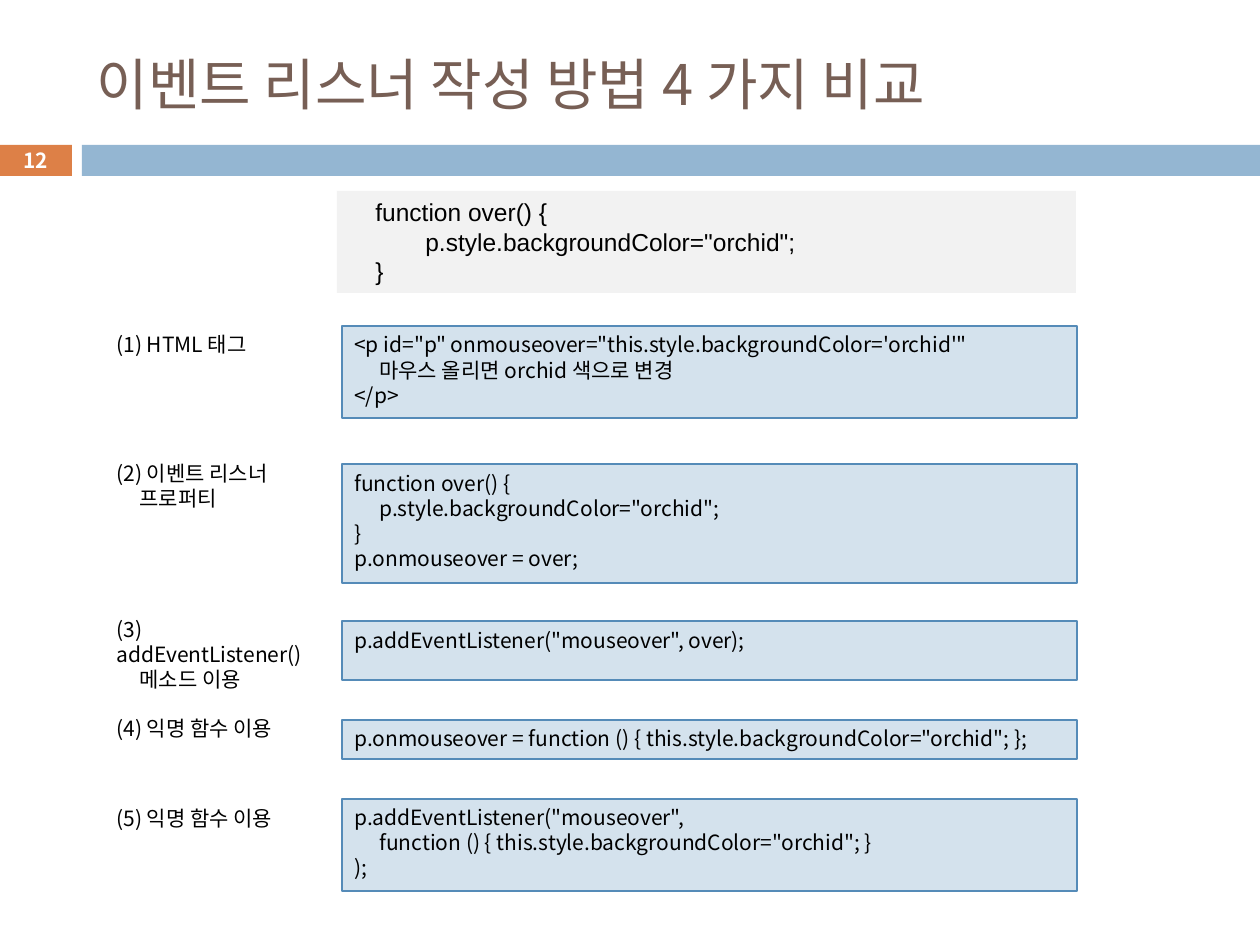
import pptx
import pptx.dml.color
import pptx.enum.shapes
import pptx.enum.text
import pptx.oxml.ns
import pptx.util
import lxml.etree

SCALE = 914400 / 126
SANS = "Noto Sans CJK KR"
ALIGN = pptx.enum.text.PP_ALIGN
MIDDLE = pptx.enum.text.MSO_ANCHOR.MIDDLE
RECT = pptx.enum.shapes.MSO_SHAPE.RECTANGLE


def px(n):
    """Turn pixels into EMU."""
    return round(n * SCALE)


def color(code):
    """Turn a hex string into a colour."""
    return pptx.dml.color.RGBColor.from_string(code)


class Page:
    """Holds the style and the current slide."""

    blue, edge, ink = "D4E2ED", "558BB8", "000000"

    def __init__(self, deck):
        """Add a title-only slide."""
        self.slide = deck.slides.add_slide(deck.slide_layouts[5])

    def text(self, shape, lines, size=12, font=SANS, ink=ink, bold=False,
             align=ALIGN.LEFT, space=None):
        """Fill a shape with (indent, text) lines."""
        frame = shape.text_frame
        frame.word_wrap = True
        frame.auto_size = pptx.enum.text.MSO_AUTO_SIZE.NONE
        for i, (indent, line) in enumerate(lines):
            para = frame.add_paragraph() if i else frame.paragraphs[0]
            para.text = line
            para.alignment = align
            if space:
                para.line_spacing = pptx.util.Pt(space)
            para.font.name = font
            para.font.size = pptx.util.Pt(size)
            para.font.bold = bold
            para.font.color.rgb = color(ink)
            props = para._p.get_or_add_pPr()
            props.set("marL", str(px(indent)))
            props.set("indent", "0")
            east = lxml.etree.SubElement(
                props.find(pptx.oxml.ns.qn("a:defRPr")), pptx.oxml.ns.qn("a:ea"))
            east.set("typeface", font)
        return frame

    def title(self, box, line):
        """Place the title."""
        shape = self.slide.shapes.title
        shape.left, shape.top, shape.width, shape.height = map(px, box)
        self.text(shape, [(0, line)], 32, ink="775F55").vertical_anchor = MIDDLE

    def rect(self, box, fill, line=None):
        """Draw a plain rectangle."""
        shape = self.slide.shapes.add_shape(RECT, *map(px, box))
        shape.shadow.inherit = False
        shape.fill.solid()
        shape.fill.fore_color.rgb = color(fill)
        if line:
            shape.line.color.rgb = color(line)
            shape.line.width = pptx.util.Pt(0.75)
        else:
            shape.line.fill.background()
        shape.text_frame.vertical_anchor = pptx.enum.text.MSO_ANCHOR.TOP
        return shape

    def code(self, top, height, lines):
        """Draw a blue code box."""
        shape = self.rect((342, top, 735, height), self.blue, self.edge)
        self.text(shape, lines, space=14.3)

    def label(self, top, lines):
        """Set a label left of a code box."""
        box = (104, top, 220, 13 + 25 * len(lines))
        self.text(self.slide.shapes.add_textbox(*map(px, box)), lines, space=14.3)


ROWS = [
    (326, [(0, "(1) HTML 태그")], 326, 92,
     [(0, "<p id=\"p\" onmouseover=\"this.style.backgroundColor='orchid'\""),
      (25, "마우스 올리면 orchid 색으로 변경"), (0, "</p>")]),
    (455, [(0, "(2) 이벤트 리스너"), (23, "프로퍼티")], 464, 119,
     [(0, "function over() {"), (25, 'p.style.backgroundColor="orchid";'),
      (0, "}"), (0, "p.onmouseover = over;")]),
    (611, [(0, "(3) addEventListener()"), (23, "메소드 이용")], 621, 59,
     [(0, 'p.addEventListener("mouseover", over);')]),
    (710, [(0, "(4) 익명 함수 이용")], 720, 39,
     [(0, 'p.onmouseover = function () { this.style.backgroundColor="orchid"; };')]),
    (800, [(0, "(5) 익명 함수 이용")], 799, 92,
     [(0, 'p.addEventListener("mouseover",'),
      (25, 'function () { this.style.backgroundColor="orchid"; }'), (0, ");")]),
]

deck = pptx.Presentation()
deck.slide_width, deck.slide_height = px(1260), px(945)
page = Page(deck)
page.title((84, 32, 1124, 103), "이벤트 리스너 작성 방법 4 가지 비교")
page.rect((82, 145, 1178, 31), "94B6D2")
badge = page.rect((-1, 145, 73, 31), "DD8047")
number = page.text(badge, [(0, "12")], 11.9, ink="FFFFFF", bold=True,
                   align=ALIGN.CENTER)
number.vertical_anchor = MIDDLE
number.margin_top = number.margin_bottom = 0
for spot, label, top, height, code in ROWS:
    page.code(top, height, code)
    page.label(spot, label)
sample = page.rect((337, 191, 739, 102), "F2F2F2")
page.text(sample, [(26, "function over() {"),
                   (76, 'p.style.backgroundColor="orchid";'), (26, "}")],
          14, "Arial", space=16.9)
deck.save("out.pptx")
